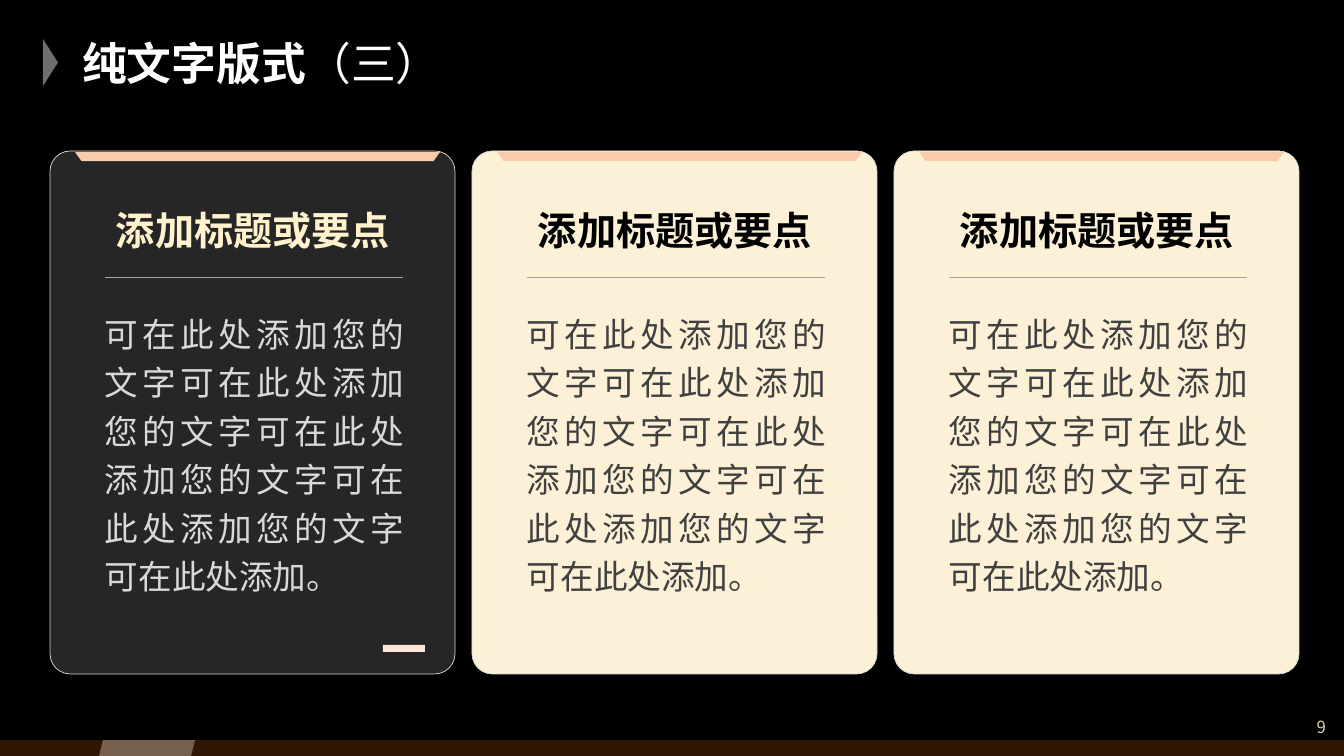
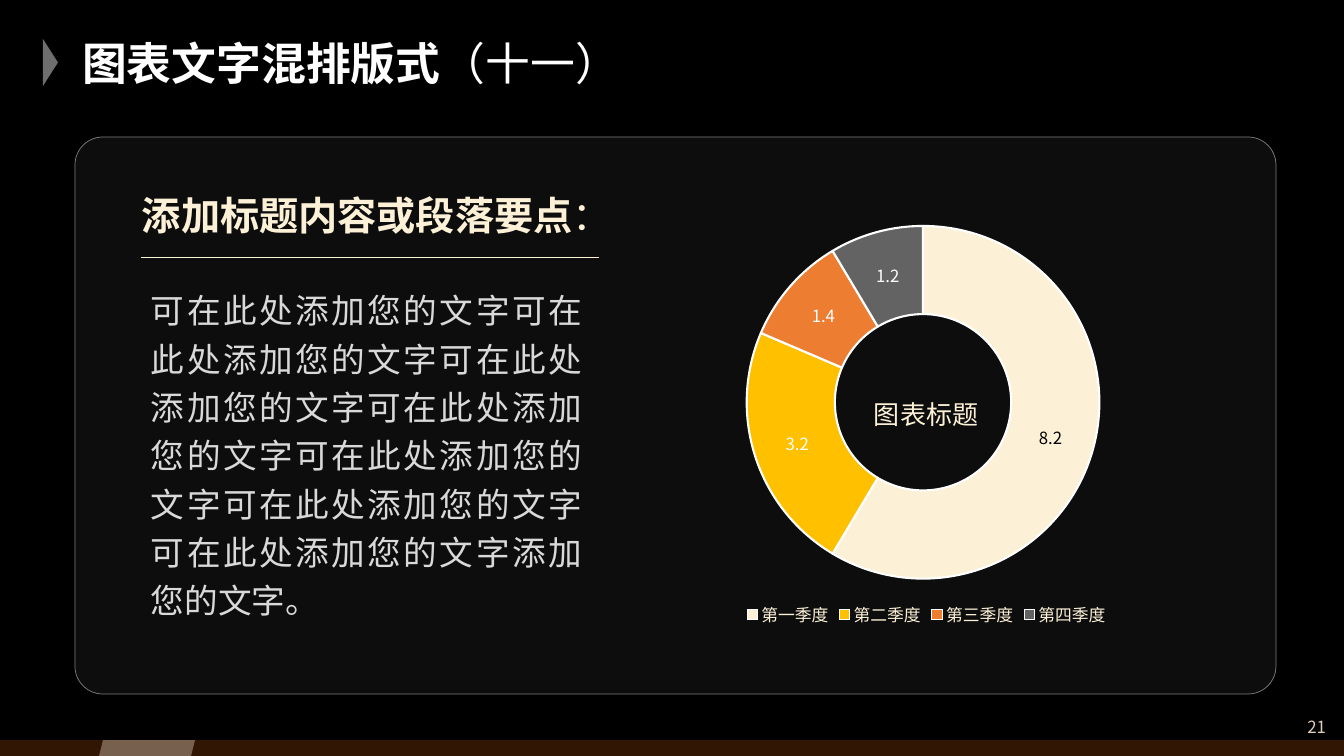
from lxml import etree
from pptx import Presentation
from pptx import util as u
from pptx.chart.data import CategoryChartData
from pptx.dml.color import RGBColor
from pptx.enum import chart as ch, shapes as sh, text as tx
from pptx.oxml import parse_xml
from pptx.oxml.ns import nsdecls, qn

PX = 9071  # EMU in one px, 1344 px across the slide
FONT = "Noto Sans CJK SC"
BLACK = RGBColor(0x00, 0x00, 0x00)
WHITE = RGBColor(0xFF, 0xFF, 0xFF)
CREAM = RGBColor(0xFC, 0xF1, 0xD6)
GOLD = RGBColor(0xFF, 0xF2, 0xCC)
PEACH = RGBColor(0xF8, 0xCB, 0xAD)
BLUSH = RGBColor(0xFB, 0xE5, 0xD6)
SAND = RGBColor(0xE0, 0xCF, 0xBD)
RUST = RGBColor(0xC7, 0x58, 0x13)
YELLOW = RGBColor(0xFF, 0xC0, 0x00)
ORANGE = RGBColor(0xED, 0x7D, 0x31)
SLATE = RGBColor(0x63, 0x63, 0x63)
DARK = RGBColor(0x40, 0x40, 0x40)
GREY = RGBColor(0x6E, 0x6E, 0x6E)
MID = RGBColor(0x80, 0x80, 0x80)
SOFT = RGBColor(0xA6, 0xA6, 0xA6)
PALE = RGBColor(0xD9, 0xD9, 0xD9)

KIND = sh.MSO_SHAPE
ALIGN = tx.PP_ALIGN
MIDDLE = tx.MSO_ANCHOR.MIDDLE
TOP = tx.MSO_ANCHOR.TOP


def box(slide, kind, area, fill=None, alpha=100, line=None):
    """Add a shape at (left, top, width, height) in px; no kind gives a text box."""
    area = [v * PX for v in area]
    if kind is None:
        return slide.shapes.add_textbox(*area)
    shape = slide.shapes.add_shape(kind, *area)
    shape.shadow.inherit = False
    shape.fill.solid()
    shape.fill.fore_color.rgb = fill
    if alpha < 100:
        tint = shape.fill._xPr.find(qn("a:solidFill"))[0]
        etree.SubElement(tint, qn("a:alpha"), val=str(alpha * 1000))
    if line is None:
        shape.line.fill.background()
    else:
        shape.line.color.rgb = line
        shape.line.width = u.Pt(0.5)
    return shape


def write(shape, words, size, color, bold=False, tail="", align=ALIGN.LEFT,
          gap=1.0, anchor=TOP, wrap=True):
    """Fill a shape with one paragraph; tail is a second run that is not bold."""
    frame = shape.text_frame
    frame.text = words
    frame.word_wrap = wrap
    frame.auto_size = tx.MSO_AUTO_SIZE.NONE
    frame.vertical_anchor = anchor
    para = frame.paragraphs[0]
    para.alignment = align
    para.line_spacing = gap
    para.space_before = u.Pt(0)
    para.runs[0].font.bold = bold
    if tail:
        run = para.add_run()
        run.text = tail
        run.font.bold = False
    for run in para.runs:
        run.font.size = u.Pt(size)
        run.font.color.rgb = color
        run.font.name = FONT


prs = Presentation()
prs.slide_width, prs.slide_height = 1344 * PX, 756 * PX
back = prs.slide_master.background.fill
back.solid()
back.fore_color.rgb = BLACK

# Layout: title place and shared marks
layout = prs.slide_layouts[5]
for holder in list(layout.placeholders):
    if holder.placeholder_format.idx:
        holder._element.getparent().remove(holder._element)
title = layout.placeholders[0]
title.left, title.top, title.width, title.height = [v * PX for v in (72, 30, 1078, 66)]

slides = []
for words, tail, page in (("纯文字版式", "（三）", "9"),
                          ("图表文字混排版式", "（十一）", "21")):
    slide = prs.slides.add_slide(layout)
    if not slides:
        arrow = box(slide, KIND.ISOSCELES_TRIANGLE, (27, 55, 47, 15), GREY)
        arrow.rotation = 90
        band = box(slide, KIND.RECTANGLE, (0, 740, 1344, 16), RUST, 25)
        mark = box(slide, KIND.PARALLELOGRAM, (99, 740, 96, 16), SAND, 40)
        for item in (arrow, band, mark):
            layout.shapes._spTree.append(item._element)
    write(slide.shapes.title, words, 32, WHITE, True, tail, anchor=MIDDLE)
    write(box(slide, None, (1222, 708, 114, 38)), page, 12, SAND,
          align=ALIGN.RIGHT, anchor=MIDDLE)
    slides.append(slide)
cards, report = slides
rules = []

# Three cards
COPY = "可在此处添加您的文字" * 4 + "可在此处添加。"
looks = ((WHITE, 15, GOLD, PALE), (CREAM, 100, BLACK, DARK), (CREAM, 100, BLACK, DARK))
for i, (fill, alpha, head, ink) in enumerate(looks):
    left = 50 + 422 * i
    card = box(cards, KIND.ROUNDED_RECTANGLE, (left, 151, 405, 523), fill, alpha, PALE)
    card.adjustments[0] = 0.05
    tab = box(cards, KIND.TRAPEZOID, (left + 25, 152, 365, 9), PEACH)
    tab.adjustments[0] = 0.71
    tab.rotation = 180
    write(box(cards, None, (left + 22, 190, 362, 66)), "添加标题或要点", 28, head,
          True, align=ALIGN.CENTER, gap=1.3, anchor=MIDDLE)
    write(box(cards, None, (left + 45, 301, 319, 299)), COPY, 24, ink,
          align=ALIGN.JUSTIFY, gap=1.2)
    rules.append((cards, left + 55, 277, 298, SOFT))
box(cards, KIND.RECTANGLE, (383, 645, 42, 7), BLUSH)

# Text beside a chart
panel = box(report, KIND.ROUNDED_RECTANGLE, (75, 137, 1201, 557), WHITE, 5, MID)
panel.adjustments[0] = 0.05
write(box(report, None, (132, 172, 495, 66)), "添加标题内容或段落要点", 28, CREAM,
      True, "：", gap=1.3, wrap=False)
write(box(report, None, (141, 277, 451, 348)),
      "可在此处添加您的文字" * 7 + "添加您的文字。", 24, PALE,
      align=ALIGN.JUSTIFY, gap=1.2)
rules.append((report, 141, 257, 458, CREAM))

for slide, left, top, width, color in rules:
    rule = slide.shapes.add_connector(sh.MSO_CONNECTOR.STRAIGHT, left * PX, top * PX,
                                      (left + width) * PX, top * PX)
    rule.line.color.rgb = color
    rule.line.width = u.Pt(0.5)
    etree.SubElement(rule._element.spPr, qn("a:effectLst"))

data = CategoryChartData()
data.categories = ["第一季度", "第二季度", "第三季度", "第四季度"]
data.add_series("Series 1", (8.2, 3.2, 1.4, 1.2))
area = [v * PX for v in (666, 170, 521, 461)]
chart = report.shapes.add_chart(ch.XL_CHART_TYPE.DOUGHNUT, *area, data).chart
chart.font.name = FONT
chart.font.size = u.Pt(10)

chart.has_title = True
chart.chart_title.text_frame.text = "图表标题"
name = chart.chart_title.text_frame.paragraphs[0].runs[0].font
name.size, name.bold, name.name = u.Pt(18.6), False, FONT
name.color.rgb = CREAM

chart.has_legend = True
chart.legend.position = ch.XL_LEGEND_POSITION.BOTTOM
chart.legend.include_in_layout = False
key = chart.legend.font
key.size, key.name = u.Pt(12), FONT
key.color.rgb = CREAM

plot = chart.plots[0]
plot.vary_by_categories = True
ring = plot.series[0]
for i, color in enumerate((CREAM, YELLOW, ORANGE, SLATE)):
    look = ring.points[i].format
    look.fill.solid()
    look.fill.fore_color.rgb = color
    look.line.color.rgb = WHITE
    look.line.width = u.Pt(1.5)
ring.data_labels.show_value = True
for font, color in ((ring.data_labels.font, WHITE),
                    (ring.points[0].data_label.font, BLACK)):
    font.size, font.name = u.Pt(12), FONT
    font.color.rgb = color

# Ring and title places, as shares of the chart
root = chart._chartSpace
root.find(".//" + qn("c:holeSize")).set("val", "58")
head = chart.chart_title._element
head.find(qn("c:overlay")).set("val", "1")
spots = ((root.chart.plotArea, 0, "inner", (("x", 0.155), ("y", 0.121), ("w", 0.677), ("h", 0.766))),
         (head, 1, None, (("x", 0.39), ("y", 0.47))))
for owner, index, target, shares in spots:
    old = owner.find(qn("c:layout"))
    if old is not None:
        owner.remove(old)
    place = parse_xml(f"<c:layout {nsdecls('c')}><c:manualLayout/></c:layout>")
    if target:
        etree.SubElement(place[0], qn("c:layoutTarget"), val=target)
    for axis in "xy":
        etree.SubElement(place[0], qn(f"c:{axis}Mode"), val="edge")
    for axis, share in shares:
        etree.SubElement(place[0], qn(f"c:{axis}"), val=str(share))
    owner.insert(index, place)

# East Asian text takes the same font
for part in (cards._element, report._element, root):
    for latin in list(part.iter(qn("a:latin"))):
        east = etree.Element(qn("a:ea"), typeface=FONT)
        latin.addnext(east)

prs.save("out.pptx")
